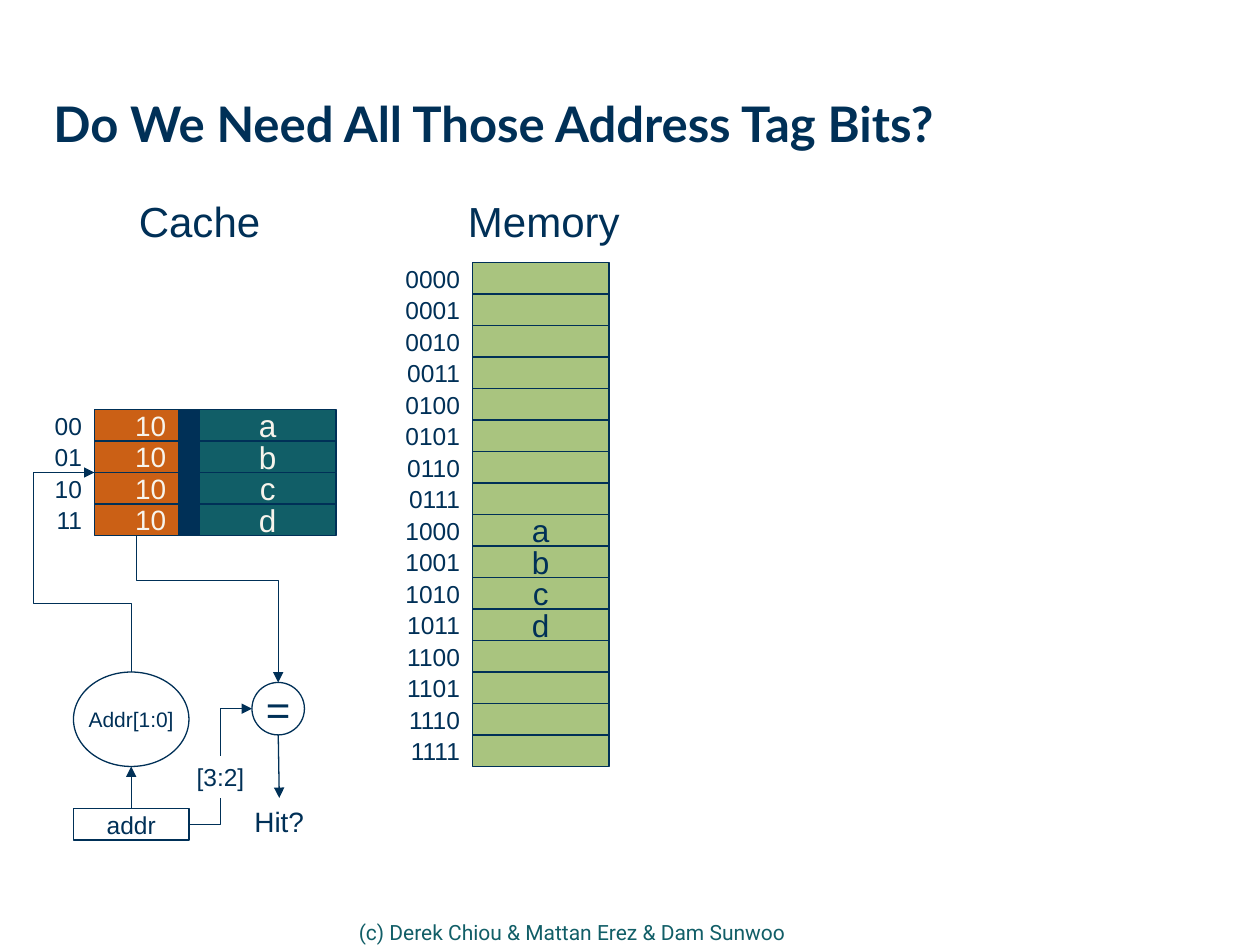
from dataclasses import dataclass

from lxml import etree
from pptx import Presentation
from pptx import util as u
from pptx.dml.color import RGBColor
from pptx.enum import shapes, text
from pptx.oxml.ns import qn

COLORS = {
    "navy": "003057",
    "green": "A9C47F",
    "teal": "115E67",
    "orange": "CB6015",
    "cream": "F7F4EC",
    "white": "FFFFFF",
}
LEFT, CENTER, RIGHT = text.PP_ALIGN.LEFT, text.PP_ALIGN.CENTER, text.PP_ALIGN.RIGHT
MIDDLE, TOP = text.MSO_ANCHOR.MIDDLE, text.MSO_ANCHOR.TOP
RECTANGLE, OVAL = shapes.MSO_SHAPE.RECTANGLE, shapes.MSO_SHAPE.OVAL
STRAIGHT, ELBOW = shapes.MSO_CONNECTOR.STRAIGHT, shapes.MSO_CONNECTOR.ELBOW
LINE_WIDTH = u.Pt(0.75)
ROW = 3  # height of one memory or cache row, in grid steps


@dataclass
class Frame:
    """A place on the slide, in grid steps."""
    left: float
    top: float
    width: float
    height: float = ROW


@dataclass
class Style:
    size: int
    align: int = CENTER
    color: str = "navy"
    font: str = "Arial"
    bold: bool = False
    anchor: int = MIDDLE
    wrap: bool = False


@dataclass
class Column:
    left: float
    width: float
    texts: list[str]
    style: Style
    fill: str | None = None


@dataclass
class Elbow:
    """A bent arrow; turn is its rotation in degrees, bends its adjust values."""
    start: tuple[float, float]
    end: tuple[float, float]
    turn: int
    bends: list[int]


def grid(steps: float) -> u.Cm:
    """Twelve grid steps make 2.54 cm."""
    return u.Cm(2.54 * steps / 12)


def rgb(name: str) -> RGBColor:
    return RGBColor.from_string(COLORS[name])


def place(frame: Frame) -> list[u.Cm]:
    return [grid(n) for n in (frame.left, frame.top, frame.width, frame.height)]


def write(shape, content: str, style: Style) -> None:
    text_frame = shape.text_frame
    text_frame.word_wrap = style.wrap
    text_frame.vertical_anchor = style.anchor
    if style.align == RIGHT:
        text_frame.margin_left = 0  # leaves narrow labels room for one line
    paragraph = text_frame.paragraphs[0]
    paragraph.text = content
    paragraph.alignment = style.align
    font = paragraph.font
    font.size, font.name, font.bold = u.Pt(style.size), style.font, style.bold
    font.color.rgb = rgb(style.color)


def add_label(slide, frame: Frame, content: str, style: Style):
    label = slide.shapes.add_textbox(*place(frame))
    write(label, content, style)
    return label


def add_box(slide, frame: Frame, content: str, style: Style,
            fill: str | None = None, kind=RECTANGLE, outlined: bool = True):
    box = slide.shapes.add_shape(kind, *place(frame))
    box.shadow.inherit = False
    if fill:
        box.fill.solid()
        box.fill.fore_color.rgb = rgb(fill)
    else:
        box.fill.background()
    if outlined:
        box.line.color.rgb = rgb("navy")
        box.line.width = LINE_WIDTH
    else:
        box.line.fill.background()
    if content:
        write(box, content, style)
    return box


def add_column(slide, column: Column, top: float) -> None:
    """Stack one cell per text; a column without fill holds bare labels."""
    for row, content in enumerate(column.texts):
        frame = Frame(column.left, top + row * ROW, column.width)
        if column.fill:
            add_box(slide, frame, content, column.style, column.fill)
        else:
            add_label(slide, frame, content, column.style)


def add_arrow(slide, kind, start: tuple[float, float], end: tuple[float, float]):
    arrow = slide.shapes.add_connector(kind, *(grid(n) for n in (*start, *end)))
    arrow.line.color.rgb = rgb("navy")
    arrow.line.width = LINE_WIDTH
    properties = arrow.line._get_or_add_ln()
    etree.SubElement(properties, qn("a:tailEnd"), type="triangle")
    etree.SubElement(arrow._element.spPr, qn("a:effectLst"))
    return arrow


def add_elbow(slide, elbow: Elbow) -> None:
    """Lay the connector out unrotated about its centre, then turn it."""
    (x1, y1), (x2, y2) = elbow.start, elbow.end
    dx, dy = x2 - x1, y2 - y1
    across, down = {0: (dx, dy), 90: (dy, -dx), 270: (-dy, dx)}[elbow.turn]
    x, y = (x1 + x2) / 2, (y1 + y2) / 2
    arrow = add_arrow(slide, ELBOW, (x - across / 2, y - down / 2),
                      (x + across / 2, y + down / 2))
    properties = arrow._element.spPr
    if elbow.turn:
        properties.find(qn("a:xfrm")).set("rot", str(elbow.turn * 60000))
    geometry = properties.find(qn("a:prstGeom"))
    geometry.set("prst", f"bentConnector{len(elbow.bends) + 2}")
    adjustments = geometry.find(qn("a:avLst"))
    for number, bend in enumerate(elbow.bends, 1):
        etree.SubElement(adjustments, qn("a:gd"), name=f"adj{number}", fmla=f"val {bend}")


def main() -> None:
    presentation = Presentation()
    presentation.slide_width, presentation.slide_height = u.Cm(25.4), u.Cm(19.05)
    slide = presentation.slides.add_slide(presentation.slide_layouts[6])

    add_label(slide, Frame(33, 86.5, 54, 4.5), "(c) Derek Chiou & Mattan Erez & Dam Sunwoo",
              Style(12, LEFT, "teal", "Roboto", wrap=True))
    title = add_label(slide, Frame(5.1, 6, 113, 11.8), "Do We Need All Those Address Tag Bits?",
                      Style(28, LEFT, font="Lato", bold=True, wrap=True))
    title_frame = title.text_frame
    title_frame.margin_left = title_frame.margin_right = 0
    title_frame.margin_top = title_frame.margin_bottom = 0
    title_frame.paragraphs[0].line_spacing = 0.99
    add_label(slide, Frame(43.3, 18, 17, 6), "Memory", Style(24, anchor=TOP, wrap=True))
    add_label(slide, Frame(12, 18, 14, 6), "Cache", Style(24, anchor=TOP))

    address = Style(14, RIGHT)
    stored = list("abcd")
    memory = [
        Column(45, 13, [""] * 8 + stored + [""] * 4, Style(18), "green"),
        Column(38, 7, [f"{n:04b}" for n in range(16)], address),
    ]
    cache = [
        Column(4, 5, [f"{n:02b}" for n in range(4)], address),
        Column(19, 13, stored, Style(18, color="cream"), "teal"),
        Column(17, 2, [""] * 4, Style(18), "navy"),
        Column(9, 8, ["10"] * 4, Style(16, RIGHT, "cream"), "orange"),
    ]
    for top, columns in ((25, memory), (39, cache)):
        for column in columns:
            add_column(slide, column, top)

    address_box = add_box(slide, Frame(7, 77, 11), "addr", Style(14))
    add_box(slide, Frame(7, 64, 11, 9), "Addr[1:0]", Style(12), kind=OVAL)
    add_box(slide, Frame(24, 65, 5, 5), "=", Style(24), kind=OVAL)
    hit = add_label(slide, Frame(23, 76, 7.2, 4.4), "Hit?", Style(16, anchor=TOP))

    add_arrow(slide, STRAIGHT, (12.5, 77), (12.5, 73)).begin_connect(address_box, 0)
    add_arrow(slide, STRAIGHT, (26.5, 70), (26.6, 76)).end_connect(hit, 0)
    for elbow in (
        Elbow((12.5, 64), (9, 45), 90, [34200, 266100]),
        Elbow((13, 51), (26.5, 65), 270, [30500]),
        Elbow((18, 78.5), (24, 67.5), 0, [50000]),
    ):
        add_elbow(slide, elbow)
    add_box(slide, Frame(18, 72, 6, 4), "[3:2]", Style(14), "white", outlined=False)

    presentation.save("out.pptx")


if __name__ == "__main__":
    main()
